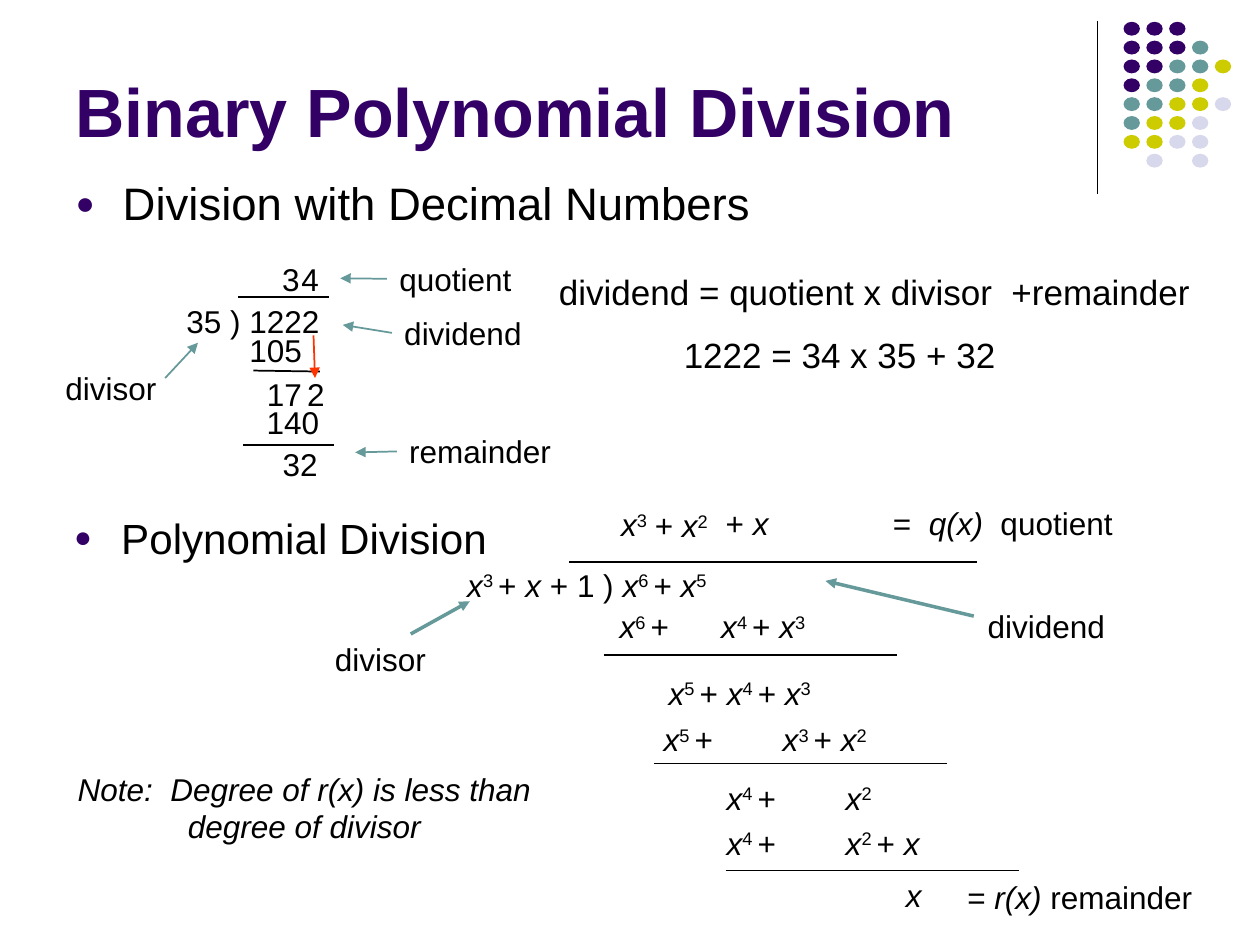
from dataclasses import dataclass

from lxml.etree import SubElement
from pptx import Presentation
from pptx.dml.color import RGBColor
from pptx.enum.shapes import MSO_CONNECTOR as Line, MSO_SHAPE as Shape
from pptx.enum.text import MSO_ANCHOR as Anchor, MSO_AUTO_SIZE as AutoSize, PP_ALIGN as Align
from pptx.oxml.ns import qn
from pptx.util import Cm, Pt


@dataclass(frozen=True)
class Theme:
    font: str = "Arial"
    ink: str = "000000"
    purple: str = "330066"
    teal: str = "669999"
    lime: str = "CCCC00"
    lilac: str = "D8D8EC"
    red: str = "FF3300"
    title: float = 39
    bullet: float = 26
    sub_bullet: float = 24.1
    equation: float = 20
    text: float = 18


T = Theme()

# Lengths are in cm. In texts, *...* is italic and ^...^ is superscript.
TITLE = ("Binary Polynomial Division", (1.27, 0.33, 20.96, 2.84))
BULLETS = [  # text, box, size, line spacing
    ("Division with Decimal Numbers", (1.27, 3.53, 22.86, 1.3), T.bullet, 0.9),
    ("Polynomial Division", (1.24, 10.39, 9.4, 1.3), T.sub_bullet, 0.8),
]

DOT_ROWS = ["PPP", "PPPT", "PPTTY", "PTTY", "TTYYL", "TYYL", "YYLL", " L L"]
DOT_COLORS = {"P": T.purple, "T": T.teal, "Y": T.lime, "L": T.lilac}
DOT_LEFT, DOT_TOP, DOT_DX, DOT_DY, DOT_W, DOT_H = 22.65, 0.44, 0.46, 0.38, 0.33, 0.28

DECIMAL_DIVISION = [  # text, left, top, width, align
    ("35 ) 1222", 3.51, 5.97, 3.18, Align.LEFT),
    ("3", 5.44, 5.11, 0.86, Align.LEFT),
    ("4", 5.82, 5.11, 0.86, Align.CENTER),
    ("105", 4.78, 6.55, 1.57, Align.LEFT),
    ("17", 5.13, 7.44, 1.63, Align.LEFT),
    ("2", 5.94, 7.44, 0.86, Align.CENTER),
    ("140", 5.13, 8.0, 1.55, Align.CENTER),
    ("32", 5.44, 8.84, 1.22, Align.CENTER),
]

EQUATIONS = [  # text, left, top, width
    ("dividend = quotient x divisor  +remainder", 11.02, 5.33, 13.23),
    ("1222 = 34 x 35 + 32", 13.54, 6.6, 6.78),
]

POLYNOMIAL_DIVISION = [  # text, left, top, width, tab stop
    ("*x*^3^", 12.27, 10.06, 1.02, None),
    ("+ *x*^2^", 12.95, 10.08, 1.57, None),
    ("+ *x*", 14.38, 10.03, 1.37, None),
    ("=  *q(x)*  quotient", 17.75, 10.03, 4.93, None),
    ("*x*^3 ^+ *x *+ 1 ) *x*^6 ^+ *x*^5^", 9.17, 11.28, 5.36, None),
    ("*x*^6 ^+\t*x*^4 ^+ *x*^3^", 12.24, 12.12, 4.24, 2.05),
    ("*x*^5 ^+ *x*^4 ^+ *x*^3^", 13.23, 13.46, 3.38, None),
    ("*x*^5 ^+\t*x*^3 ^+ *x*^2^", 13.13, 14.4, 4.6, 2.4),
    ("*x*^4 ^+\t*x*^2^", 14.4, 15.57, 3.43, 2.4),
    ("*x*^4 ^+\t*x*^2 ^+ *x*", 14.4, 16.48, 4.39, 2.4),
    ("*x*", 18.01, 17.53, 0.81, None),
    ("= *r(x)* remainder", 19.25, 17.58, 5.03, None),
]

LABELS = [  # text, left, top, width, arrow start (None: middle of left side), arrow tip, weight
    ("divisor", 1.07, 7.32, 2.34, (3.33, 7.62), (3.99, 6.91), 1),
    ("quotient", 7.8, 5.11, 2.77, None, (6.86, 5.61), 1),
    ("remainder", 8.0, 8.59, 3.35, None, (7.16, 9.12), 1),
    ("dividend", 7.9, 6.2, 2.87, None, (6.91, 6.55), 1),
    ("divisor", 6.5, 12.78, 2.34, (8.28, 12.78), (9.47, 12.12), 2),
    ("dividend", 19.66, 12.12, 2.87, (19.63, 12.42), (16.64, 11.71), 2),
]

RULES = [  # start, end
    ((4.8, 5.99), (6.63, 5.99)),
    ((5.11, 7.47), (6.45, 7.49)),
    ((4.9, 8.97), (6.73, 8.97)),
    ((11.48, 11.33), (19.69, 11.33)),
    ((12.17, 13.21), (18.08, 13.21)),
    ((13.18, 15.39), (19.1, 15.39)),
    ((14.63, 17.55), (20.55, 17.55)),
]
SIDE_RULE = ((22.12, 0.43), (22.12, 3.91))
BRING_DOWN = ((6.32, 6.76), (6.35, 7.62))
NOTE = ("*Note:  Degree of r(x) is less than degree of divisor*", (0.89, 15.39, 10.49, 1.78))


def rgb(color):
    return RGBColor.from_string(color)


def write(tf, text, size=T.text, color=T.ink, bold=False, align=Align.LEFT,
          wrap=False, anchor=Anchor.TOP, tab=None):
    """Fill the first paragraph, reading the *italic* and ^superscript^ marks."""
    tf.auto_size, tf.word_wrap, tf.vertical_anchor = AutoSize.NONE, wrap, anchor
    p = tf.paragraphs[0]
    p.alignment = align
    for i, part in enumerate(text.split("*")):
        for j, piece in enumerate(part.split("^")):
            if not piece:
                continue
            r = p.add_run()
            r.text = piece
            f = r.font
            f.name, f.size, f.bold, f.italic = T.font, Pt(size), bold, i % 2 == 1
            f.color.rgb = rgb(color)
            if j % 2:
                r._r.get_or_add_rPr().set("baseline", "30000")
    if tab:
        tabs = SubElement(p._p.get_or_add_pPr(), qn("a:tabLst"))
        SubElement(tabs, qn("a:tab"), pos=str(Cm(tab)), algn="l")
    return p


def place(sp, box):
    sp.left, sp.top, sp.width, sp.height = map(Cm, box)


def add_text(slide, text, box, **fmt):
    sp = slide.shapes.add_textbox(*map(Cm, box))
    write(sp.text_frame, text, **fmt)
    return sp


def add_line(slide, start, end, color=T.ink, weight=1, arrow=False):
    s = slide.shapes.add_connector(Line.STRAIGHT, *map(Cm, (*start, *end)))
    s.line.color.rgb, s.line.width = rgb(color), Pt(weight)
    if arrow:
        SubElement(s.line._get_or_add_ln(), qn("a:tailEnd"), type="triangle")
    SubElement(s._element.spPr, qn("a:effectLst"))
    return s


def add_bullet(sp, text, box, size, spacing):
    place(sp, box)
    p = write(sp.text_frame, text, size=size, wrap=True)
    p.line_spacing, p.space_before = spacing, Pt(6.5)
    pPr = p._p.get_or_add_pPr()
    pPr.set("marL", str(Cm(0.95)))
    pPr.set("indent", str(-Cm(0.95)))
    SubElement(SubElement(pPr, qn("a:buClr")), qn("a:srgbClr"), val=T.purple)
    SubElement(pPr, qn("a:buSzPct"), val="70000")
    SubElement(pPr, qn("a:buFont"), typeface=T.font)
    SubElement(pPr, qn("a:buChar"), char="●")


def add_dots(slide):
    for row, codes in enumerate(DOT_ROWS):
        for col, code in enumerate(codes):
            if code == " ":
                continue
            box = (DOT_LEFT + col * DOT_DX, DOT_TOP + row * DOT_DY, DOT_W, DOT_H)
            sp = slide.shapes.add_shape(Shape.OVAL, *map(Cm, box))
            sp.shadow.inherit = False
            sp.fill.solid()
            sp.fill.fore_color.rgb = rgb(DOT_COLORS[code])
            sp.line.fill.background()


def main():
    prs = Presentation()
    prs.slide_width, prs.slide_height = Cm(25.4), Cm(19.05)
    slide = prs.slides.add_slide(prs.slide_layouts.get_by_name("Two Content"))
    title, *bodies = list(slide.placeholders)

    add_line(slide, *SIDE_RULE, weight=0.75)
    add_dots(slide)

    text, box = TITLE
    place(title, box)
    write(title.text_frame, text, size=T.title, color=T.purple, bold=True,
          wrap=True, anchor=Anchor.BOTTOM)
    for sp, bullet in zip(bodies, BULLETS):
        add_bullet(sp, *bullet)

    for text, left, top, width, align in DECIMAL_DIVISION:
        add_text(slide, text, (left, top, width, 1.02), align=align)
    for text, left, top, width in EQUATIONS:
        add_text(slide, text, (left, top, width, 1.12), size=T.equation, align=Align.CENTER)
    for text, left, top, width, tab in POLYNOMIAL_DIVISION:
        add_text(slide, text, (left, top, width, 1.02), tab=tab)
    for rule in RULES:
        add_line(slide, *rule)
    add_line(slide, *BRING_DOWN, color=T.red, arrow=True)

    for text, left, top, width, start, tip, weight in LABELS:
        sp = add_text(slide, text, (left, top, width, 1.02))
        s = add_line(slide, start or (left, top), tip, T.teal, weight, arrow=True)
        if start is None:
            s.begin_connect(sp, 1)

    text, box = NOTE
    add_text(slide, text, box, align=Align.CENTER, wrap=True)
    prs.save("out.pptx")


if __name__ == "__main__":
    main()
